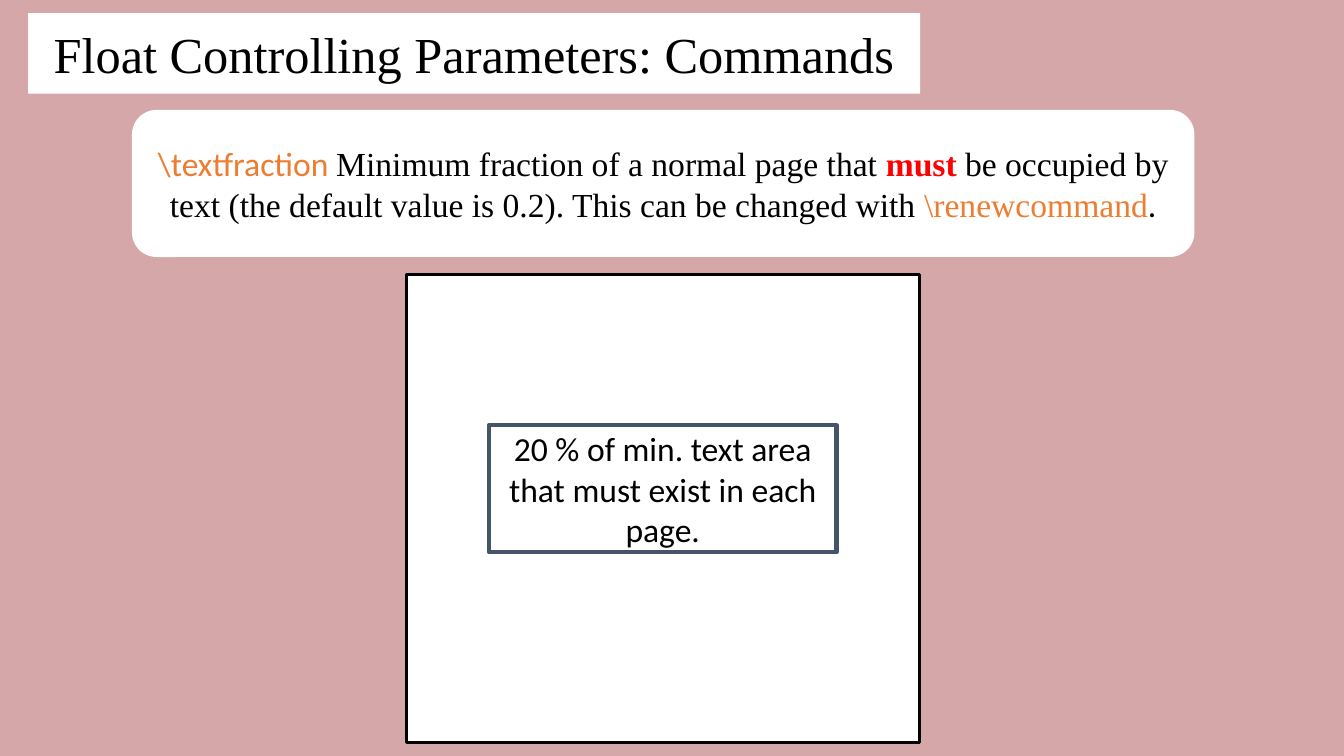
from dataclasses import dataclass

from lxml import etree
from pptx import Presentation
from pptx.dml.color import RGBColor
from pptx.enum import shapes, text
from pptx.oxml import ns
from pptx.util import Pt


@dataclass(frozen=True)
class Theme:
    background: RGBColor = RGBColor(0xD5, 0xA7, 0xA8)
    paper: RGBColor = RGBColor(0xFF, 0xFF, 0xFF)
    ink: RGBColor = RGBColor(0x00, 0x00, 0x00)
    command: RGBColor = RGBColor(0xED, 0x7D, 0x31)
    emphasis: RGBColor = RGBColor(0xFF, 0x00, 0x00)
    frame: RGBColor = RGBColor(0x44, 0x54, 0x6A)
    serif: str = "Times New Roman"
    sans: str = "Calibri"
    title_size: int = 36
    body_size: int = 24


theme = Theme()


def add_box(kind, box, line_color=None, line_width=0):
    shape = slide.shapes.add_shape(kind, *map(Pt, box))
    shape.shadow.inherit = False
    shape.fill.solid()
    shape.fill.fore_color.rgb = theme.paper
    if line_color is None:
        shape.line.fill.background()
    else:
        shape.line.color.rgb = line_color
        shape.line.width = Pt(line_width)
    return shape


def write_centred(shape, size, runs):
    """Fill the shape with one centred paragraph of (wording, font, colour, bold) runs."""
    frame = shape.text_frame
    frame.word_wrap = True
    frame.auto_size = text.MSO_AUTO_SIZE.NONE
    frame.vertical_anchor = text.MSO_ANCHOR.MIDDLE
    paragraph = frame.paragraphs[0]
    paragraph.alignment = text.PP_ALIGN.CENTER
    for wording, font, color, bold in runs:
        run = paragraph.add_run()
        run.text = wording
        run.font.name = font
        run.font.size = Pt(size)
        run.font.bold = bold
        run.font.color.rgb = color


presentation = Presentation()
presentation.slide_width = Pt(960)
presentation.slide_height = Pt(540)
slide = presentation.slides.add_slide(presentation.slide_layouts[5])
slide.background.fill.solid()
slide.background.fill.fore_color.rgb = theme.background

# Title on a rounded card
title = slide.shapes.title
title.left, title.top, title.width, title.height = map(Pt, (20.16, 9.36, 637.2, 57.6))
geometry = etree.SubElement(title.element.spPr, ns.qn("a:prstGeom"), prst="roundRect")
etree.SubElement(geometry, ns.qn("a:avLst"))
title.fill.solid()
title.fill.fore_color.rgb = theme.paper
write_centred(title, theme.title_size, [
    ("Float Controlling Parameters: Commands", theme.serif, theme.ink, False),
])

# Explanation of the command
explanation = add_box(shapes.MSO_SHAPE.ROUNDED_RECTANGLE, (94.32, 78.48, 758.88, 105.12))
write_centred(explanation, theme.body_size, [
    (r"\textfraction ", theme.sans, theme.command, False),
    ("Minimum fraction of a normal page that ", theme.serif, theme.ink, False),
    ("must", theme.serif, theme.emphasis, True),
    (" be occupied by text (the default value is 0.2). This can be changed with ",
     theme.serif, theme.ink, False),
    (r"\renewcommand", theme.serif, theme.command, False),
    (".", theme.sans, theme.ink, False),
])

# Page with its minimum text area
add_box(shapes.MSO_SHAPE.RECTANGLE, (290.16, 195.84, 366.48, 334.8), theme.ink, 2.25)
text_area = add_box(shapes.MSO_SHAPE.RECTANGLE, (349.2, 303.84, 248.4, 90.72), theme.frame, 3)
write_centred(text_area, theme.body_size, [
    ("20 % of min. text area that must exist in each page.", theme.sans, theme.ink, False),
])

presentation.save("out.pptx")
